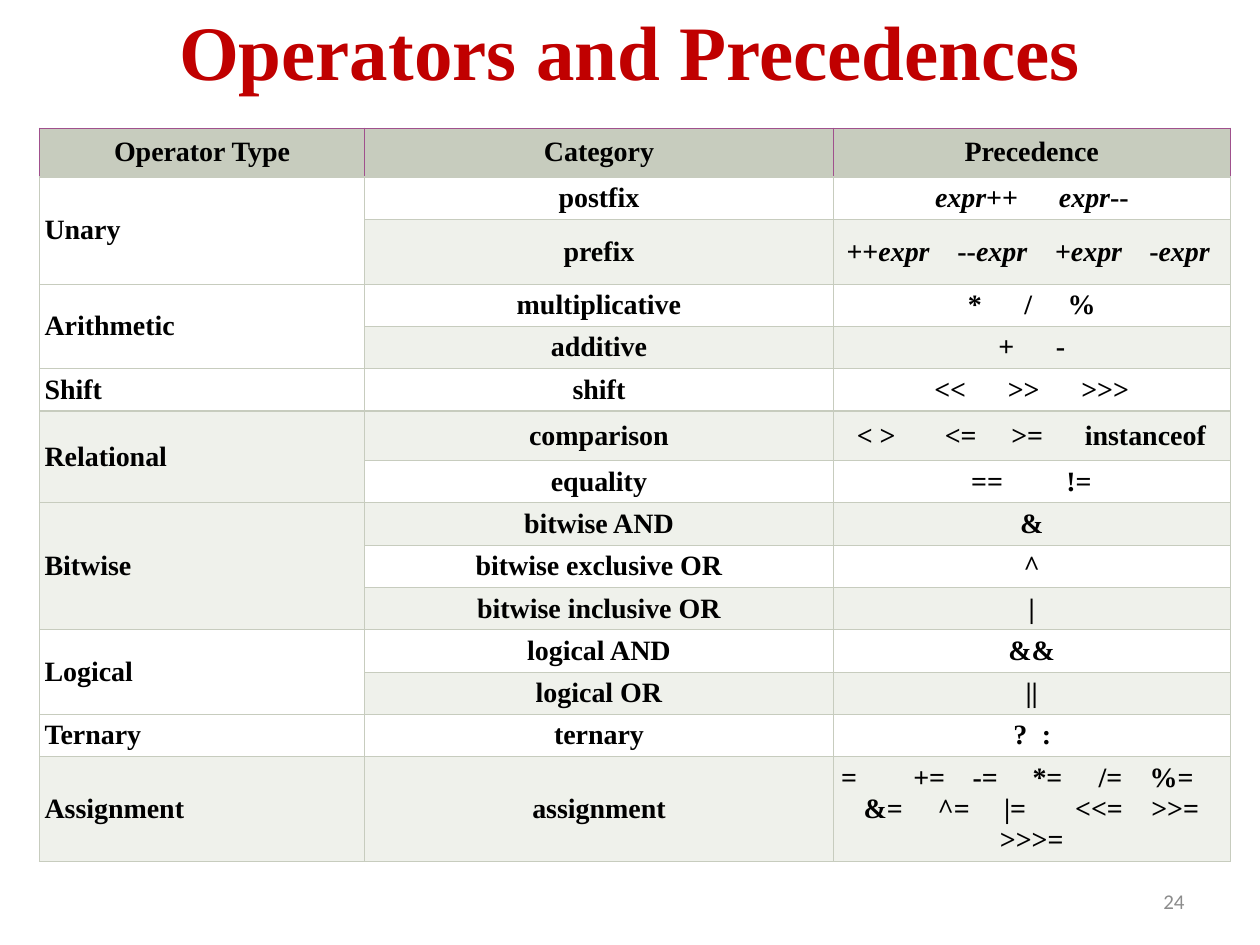
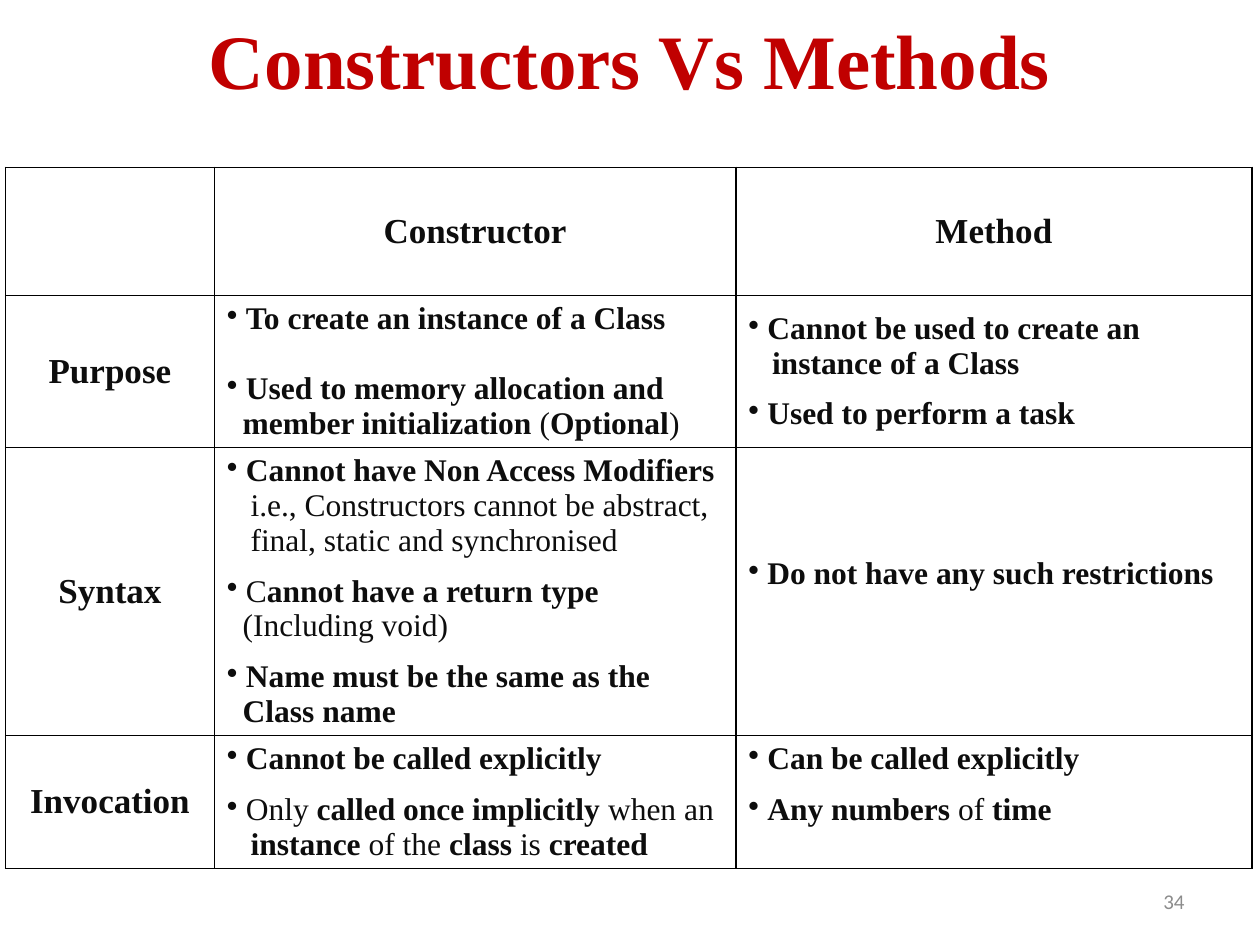
from dataclasses import dataclass, field

from lxml import etree
from pptx import Presentation
from pptx.dml.color import RGBColor
from pptx.enum.text import MSO_ANCHOR, PP_ALIGN
from pptx.oxml.ns import qn
from pptx.util import Pt

LEFT, CENTER, RIGHT = PP_ALIGN.LEFT, PP_ALIGN.CENTER, PP_ALIGN.RIGHT
TOP, MIDDLE = MSO_ANCHOR.TOP, MSO_ANCHOR.MIDDLE
MARK = "~"  # toggles the alternative run format inside a text


@dataclass(frozen=True)
class Theme:
    serif: str = "Times New Roman"
    sans: str = "Calibri"
    title: str = "C00000"
    number: str = "8C8C8C"
    black: str = "000000"
    ink: str = "0D0D0D"
    white: str = "FFFFFF"
    sage: str = "C7CCBE"
    pale: str = "EFF1EB"
    plum: str = "A0508D"
    title_size: float = 44
    heading_size: float = 20
    body_size: float = 18
    operator_size: float = 16
    number_size: float = 12


THEME = Theme()


@dataclass(frozen=True)
class TextStyle:
    size: float
    color: str
    name: str = THEME.serif
    bold: bool = True
    leading: float | None = None
    alternative: dict[str, bool] = field(default_factory=dict)


@dataclass(frozen=True)
class Line:
    text: str
    align: PP_ALIGN = CENTER
    before: float = 0
    indent: float = 0
    bullet: bool = False
    stops: tuple[float, ...] = ()


@dataclass(frozen=True)
class Border:
    color: str
    width: float


@dataclass(frozen=True)
class CellFormat:
    borders: dict[str, Border]
    fill: str | None = None
    margins: tuple[float, float, float, float] = (7.2, 3.6, 7.2, 3.6)
    anchor: MSO_ANCHOR = MIDDLE


TITLE = TextStyle(THEME.title_size, THEME.title)
NUMBER = TextStyle(THEME.number_size, THEME.number, THEME.sans, False)
OPERATOR = TextStyle(THEME.operator_size, THEME.black, leading=17.7,
                     alternative={"italic": True})
HEADING = TextStyle(THEME.heading_size, THEME.ink, leading=22.1)
BODY = TextStyle(THEME.body_size, THEME.ink, leading=19.9, alternative={"bold": False})
SIDES = ("L", "R", "T", "B")
HANGING, NEAR, FAR = 10.8, 9, 13.5


# Text
def add_runs(paragraph, text: str, style: TextStyle) -> None:
    for index, segment in enumerate(text.split(MARK)):
        if not segment:
            continue
        values = {"name": style.name, "size": Pt(style.size), "bold": style.bold}
        if index % 2:
            values.update(style.alternative)
        run = paragraph.add_run()
        run.text = segment
        for attribute, value in values.items():
            setattr(run.font, attribute, value)
        run.font.color.rgb = RGBColor.from_string(style.color)


def write_lines(text_frame, lines: list[Line], style: TextStyle) -> None:
    for index, line in enumerate(lines):
        paragraph = text_frame.paragraphs[0] if index == 0 else text_frame.add_paragraph()
        paragraph.alignment = line.align
        paragraph.space_before = Pt(line.before)
        if style.leading:
            paragraph.line_spacing = Pt(style.leading)
        properties = paragraph._p.get_or_add_pPr()
        if line.indent:
            properties.set("marL", str(Pt(line.indent)))
            properties.set("indent", str(-Pt(line.indent) if line.bullet else 0))
        if line.bullet:
            etree.SubElement(properties, qn("a:buFontTx"))
            etree.SubElement(properties, qn("a:buChar"), char="•")
        if line.stops:
            tabs = etree.SubElement(properties, qn("a:tabLst"))
            for stop in line.stops:
                etree.SubElement(tabs, qn("a:tab"), pos=str(Pt(stop)), algn="ctr")
        add_runs(paragraph, line.text, style)


def add_text(slide, box: tuple[float, float, float, float], line: Line, style: TextStyle) -> None:
    shape = slide.shapes.add_textbox(*(Pt(length) for length in box))
    shape.text_frame.word_wrap = True
    shape.text_frame.vertical_anchor = MIDDLE
    write_lines(shape.text_frame, [line], style)


# Slide frame and tables
def add_slide(presentation, title: str, title_top: float, number: int):
    slide = presentation.slides.add_slide(presentation.slide_layouts[6])
    add_text(slide, (0, title_top, 720, 90), Line(title), TITLE)
    add_text(slide, (516, 500.5, 168, 28.75), Line(str(number), RIGHT), NUMBER)
    return slide


def add_grid(slide, left: float, top: float, widths: list[float], heights: list[float]):
    frame = slide.shapes.add_table(len(heights), len(widths), Pt(left), Pt(top),
                                   Pt(sum(widths)), Pt(sum(heights)))
    table = frame.table
    table.first_row = table.horz_banding = False
    for column, width in zip(table.columns, widths):
        column.width = Pt(width)
    for row, height in zip(table.rows, heights):
        row.height = Pt(height)
    return table


def format_cell(cell, cell_format: CellFormat) -> None:
    sides = ("margin_left", "margin_top", "margin_right", "margin_bottom")
    for attribute, margin in zip(sides, cell_format.margins):
        setattr(cell, attribute, Pt(margin))
    cell.vertical_anchor = cell_format.anchor
    properties = cell._tc.get_or_add_tcPr()
    for side in SIDES:
        border = cell_format.borders[side]
        edge = etree.SubElement(properties, qn(f"a:ln{side}"), w=str(Pt(border.width)))
        solid = etree.SubElement(edge, qn("a:solidFill"))
        etree.SubElement(solid, qn("a:srgbClr"), val=border.color)
    if cell_format.fill:
        cell.fill.solid()
        cell.fill.fore_color.rgb = RGBColor.from_string(cell_format.fill)
    else:
        cell.fill.background()


# Operators: type, rows of category, precedence lines and centred tab stops
def tabbed(text: str, *stops: float) -> Line:
    return Line("".join("\t" + token for token in text.split()), LEFT, stops=stops)


OPERATOR_GROUPS = [
    ("Unary", [
        ("postfix", [tabbed("~expr~++ ~expr~--", 79, 146)]),
        ("prefix", [tabbed("++~expr~ --~expr~ +~expr~ -~expr~", 28.5, 88, 143, 195)]),
    ]),
    ("Arithmetic", [
        ("multiplicative", [tabbed("* / %", 78, 108.5, 139)]),
        ("additive", [tabbed("+ -", 96, 127)]),
    ]),
    ("Shift", [("shift", [tabbed("<< >> >>>", 64, 106, 152.5)])]),
    ("Relational", [
        ("comparison", [tabbed("< > <= >= instanceof", 15.2, 28.2, 70, 108, 175.5)]),
        ("equality", [tabbed("== !=", 85, 137.5)]),
    ]),
    ("Bitwise", [
        ("bitwise AND", [Line("&")]),
        ("bitwise exclusive OR", [Line("^")]),
        ("bitwise inclusive OR", [Line("|")]),
    ]),
    ("Logical", [("logical AND", [Line("&&")]), ("logical OR", [Line("||")])]),
    ("Ternary", [("ternary", [tabbed("? :", 104, 119)])]),
    ("Assignment", [
        ("assignment", [
            tabbed("= += -= *= /= %=", 6.2, 52, 84, 119.5, 155.5, 190.5),
            tabbed("&= ^= |= <<= >>=", 25.7, 66, 101, 149, 192.5),
            Line(">>>="),
        ]),
    ]),
]
ROW_HEIGHT = 24.2
SPECIAL_HEIGHTS = {"prefix": 37, "comparison": 28.3, "assignment": 59.7}


def build_operators(presentation) -> None:
    slide = add_slide(presentation, "Operators and Precedences", -16.5, 24)
    heights = [28] + [SPECIAL_HEIGHTS.get(category, ROW_HEIGHT)
                      for _, rows in OPERATOR_GROUPS for category, _ in rows]
    table = add_grid(slide, 22.6, 73.2, [185.8, 267.8, 226.8], heights)

    sage, plum = Border(THEME.sage, 0.75), Border(THEME.plum, 0.75)
    header = CellFormat({"L": plum, "R": plum, "T": plum, "B": sage},
                        THEME.sage, (5.04,) * 4, TOP)
    bands = [CellFormat(dict.fromkeys(SIDES, sage), fill, (2.88,) * 4)
             for fill in (THEME.pale, THEME.white)]
    for row in range(len(heights)):
        for column in range(3):
            format_cell(table.cell(row, column), bands[row % 2] if row else header)

    for column, heading in enumerate(("Operator Type", "Category", "Precedence")):
        write_lines(table.cell(0, column).text_frame, [Line(heading)], OPERATOR)
    row = 1
    for operator_type, rows in OPERATOR_GROUPS:
        type_cell = table.cell(row, 0)
        if len(rows) > 1:
            type_cell.merge(table.cell(row + len(rows) - 1, 0))
        write_lines(type_cell.text_frame, [Line(operator_type, LEFT)], OPERATOR)
        for category, precedence in rows:
            write_lines(table.cell(row, 1).text_frame, [Line(category)], OPERATOR)
            write_lines(table.cell(row, 2).text_frame, precedence, OPERATOR)
            row += 1


# Comparison: aspect, row height, constructor and method points
def point(first: str, *more: str, indent: float = NEAR, before: float = 0) -> list[Line]:
    return ([Line(first, LEFT, before, HANGING, True)]
            + [Line(text, LEFT, indent=indent) for text in more])


GAP = 9
COMPARISON = [
    ("Purpose", 86.9,
     point("To create an instance of a Class")
     + point("Used to memory allocation and",
             "member initialization ~(~Optional~)", before=20),
     point("Cannot be used to create an", "instance of a Class", indent=FAR)
     + point("Used to perform a task", before=GAP)),
    ("Syntax", 164.6,
     point("Cannot have Non Access Modifiers", "~i.e., Constructors cannot be abstract,",
           "~final, static and synchronised", indent=FAR)
     + point("~C~annot have a return type", "~(Including void)", before=GAP)
     + point("Name must be the same as the", "Class name", before=GAP),
     point("Do not have any such restrictions")),
    ("Invocation", 75.7,
     point("Cannot be called explicitly")
     + point("~Only~ called once implicitly ~when an",
             "instance ~of the ~class ~is~ created", indent=FAR, before=GAP),
     point("Can be called explicitly") + point("Any numbers ~of~ time", before=GAP)),
]
RAISED = {("Syntax", 2), ("Invocation", 2)}


def build_comparison(presentation) -> None:
    slide = add_slide(presentation, "Constructors Vs Methods", -11.5, 34)
    heights = [73.1] + [height for _, height, _, _ in COMPARISON]
    table = add_grid(slide, 3.2, 95.7, [119.3, 298, 295], heights)

    borders = dict.fromkeys(SIDES, Border(THEME.black, 1))
    plain = CellFormat(borders)
    raised = CellFormat(borders, margins=(7.2, 3.6, 7.2, 23.6))
    for column, heading in enumerate(("", "Constructor", "Method")):
        format_cell(table.cell(0, column), plain)
        write_lines(table.cell(0, column).text_frame, [Line(heading)], HEADING)
    for row, (aspect, _, constructor, method) in enumerate(COMPARISON, start=1):
        for column, lines in enumerate(([Line(aspect)], constructor, method)):
            cell = table.cell(row, column)
            format_cell(cell, raised if (aspect, column) in RAISED else plain)
            write_lines(cell.text_frame, lines, BODY if column else HEADING)


def main() -> None:
    presentation = Presentation()
    presentation.slide_width, presentation.slide_height = Pt(720), Pt(540)
    build_operators(presentation)
    build_comparison(presentation)
    presentation.save("out.pptx")


if __name__ == "__main__":
    main()
